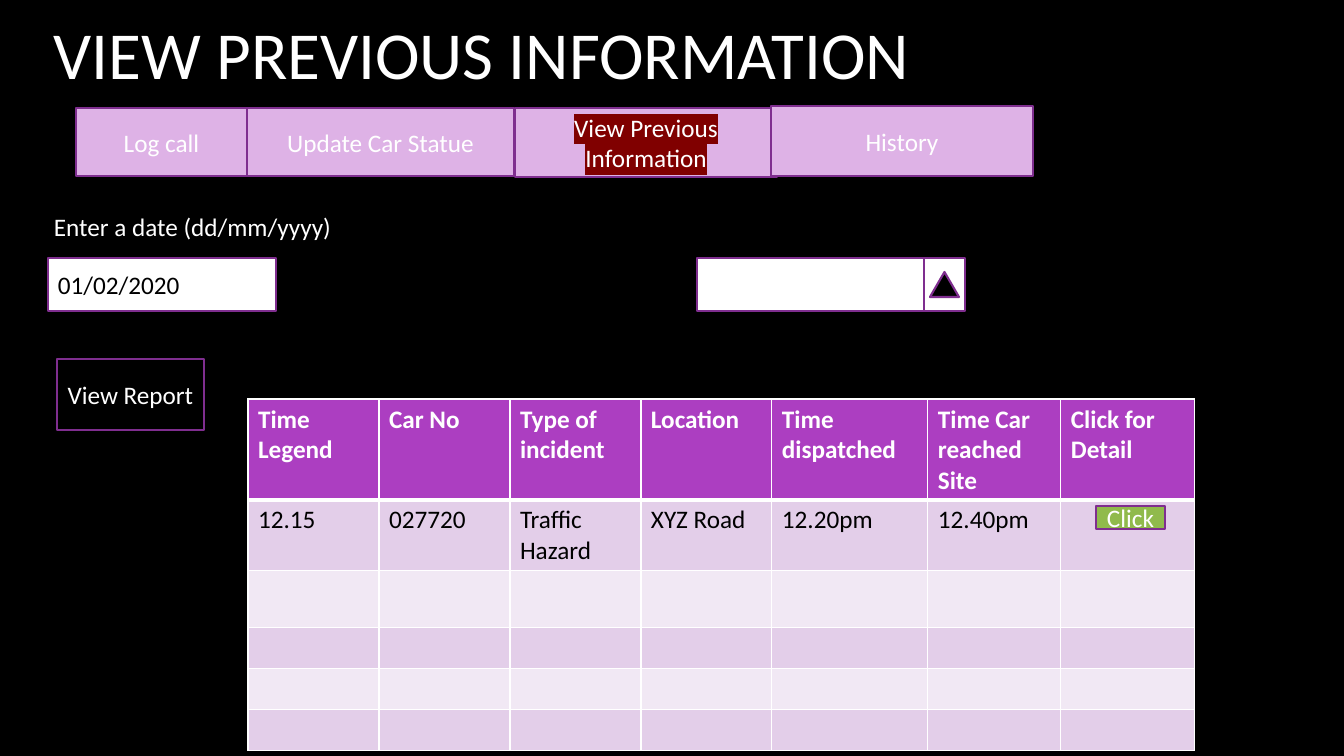
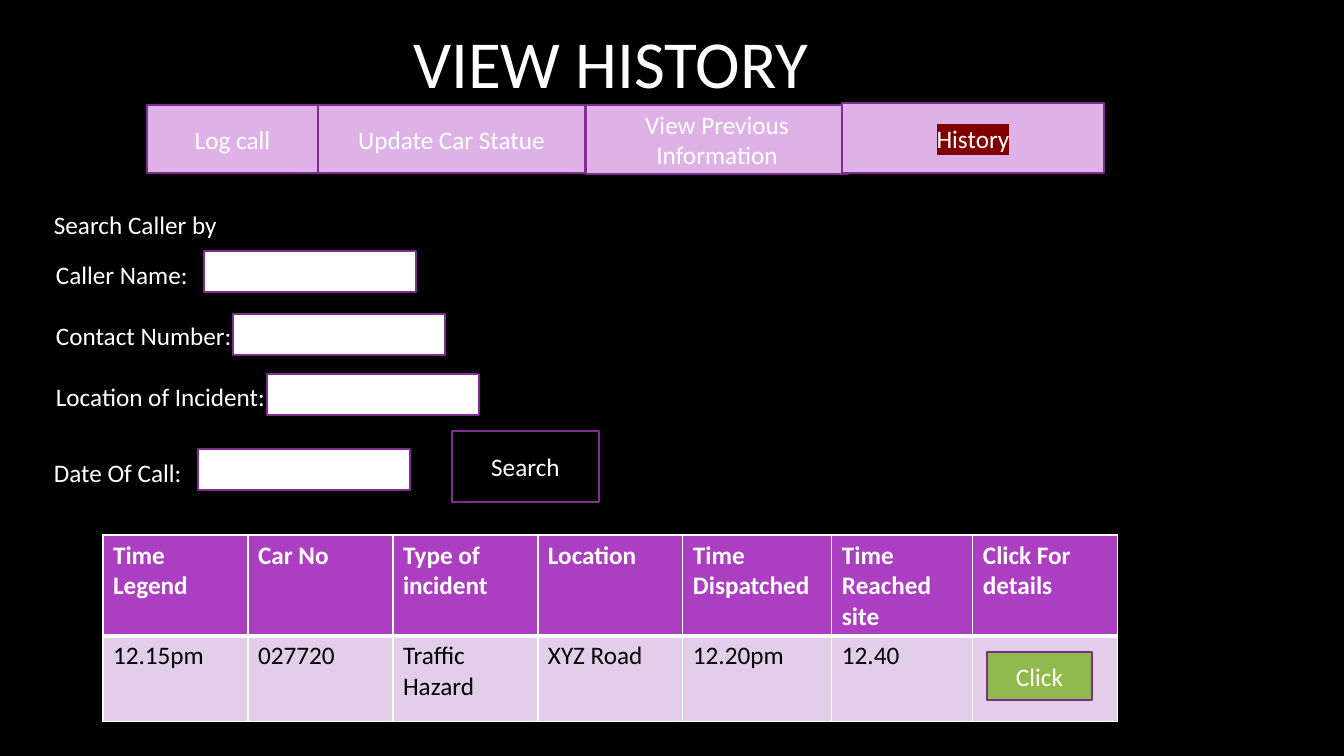
from lxml.etree import SubElement
from pptx import Presentation
from pptx.dml.color import RGBColor
from pptx.enum.shapes import MSO_SHAPE as SHAPE
from pptx.enum.text import MSO_ANCHOR as ANCHOR, PP_ALIGN as ALIGN
from pptx.oxml import parse_xml
from pptx.oxml.ns import nsdecls, qn
from pptx.util import Pt

PX = 9071  # EMU in one px, 100.8 px to the inch
rgb = RGBColor.from_string
BLACK, WHITE = "000000", "FFFFFF"
OUTLINE, TAB, ACTIVE = "7F2E8F", "DEB2E6", "800000"
HEADER, BANDS, GREEN = "AC3EC1", ("F1E8F4", "E3CEE9"), "90BA4C"


def write(frame, text, size=18, color=WHITE, bold=False, align=ALIGN.LEFT,
          anchor=ANCHOR.TOP, highlight=None, space_after=0):
    """Fill a text frame with one paragraph for each line of text."""
    frame.word_wrap = True
    frame.vertical_anchor = anchor
    for index, line in enumerate(text.split("\n")):
        paragraph = frame.add_paragraph() if index else frame.paragraphs[0]
        paragraph.alignment = align
        paragraph.space_after = Pt(space_after)
        run = paragraph.add_run()
        run.text = line
        run.font.size, run.font.bold, run.font.name = Pt(size), bold, "Calibri"
        run.font.color.rgb = rgb(color)
        if highlight:
            run.font._element.find(qn("a:solidFill")).addnext(parse_xml(
                f'<a:highlight {nsdecls("a")}><a:srgbClr val="{highlight}"/></a:highlight>'))


def add_box(shapes, left, top, width, height, text="", fill=WHITE,
            kind=SHAPE.RECTANGLE, align=ALIGN.CENTER, **text_format):
    """Add an outlined shape, with its text centred vertically."""
    shape = shapes.add_shape(kind, left * PX, top * PX, width * PX, height * PX)
    shape.shadow.inherit = False
    shape.fill.solid()
    shape.fill.fore_color.rgb = rgb(fill)
    shape.line.color.rgb = rgb(OUTLINE)
    shape.line.width = Pt(1.5)
    if text:
        write(shape.text_frame, text, align=align, anchor=ANCHOR.MIDDLE, **text_format)


presentation = Presentation()
presentation.slide_width, presentation.slide_height = 1344 * PX, 756 * PX
background = presentation.slide_master.background.fill
background.solid()
background.fore_color.rgb = rgb(BLACK)

# name, left and top within the tab bar, width, height
tabs = [
    ("Log call", 0, 0, 171, 68),
    ("Update Car Statue", 171, 0, 267, 68),
    ("View Previous Information", 439, 0, 262, 69),
    ("History", 695, -2, 262, 70),
]

pages = [
    dict(
        title="VIEW PREVIOUS INFORMATION", title_height=98, title_align=ALIGN.LEFT,
        active="View Previous Information", tab_bar=(76, 108),
        labels=[("Enter a date (dd/mm/yyyy)", 44, 206, 40)],
        fields=[],
        button=("View Report", 57, 359),
        table_at=(248, 399),
        columns=[131, 131, 131, 131, 156, 133, 134],
        rows=[100, 71, 57, 41, 41, 41],
        cells=[
            ["Time Legend", "Car No", "Type of incident", "Location",
             "Time dispatched", "Time Car reached Site", "Click for Detail"],
            ["12.15", "027720", "Traffic Hazard", "XYZ Road", "12.20pm", "12.40pm"],
        ],
        click=(1096, 506, 69, 23),
    ),
    dict(
        title="VIEW HISTORY", title_height=107, title_align=ALIGN.CENTER,
        active="History", tab_bar=(147, 105),
        labels=[
            ("Search Caller by", 44, 204, 40),
            ("Caller Name:\nContact Number:\nLocation of Incident:", 46, 254, 163),
            ("Date Of Call:", 44, 452, 40),
        ],
        fields=[(204, 251), (233, 314), (267, 374), (198, 449)],
        button=("Search", 452, 431),
        table_at=(103, 535),
        columns=[145, 145, 145, 145, 149, 141, 145],
        rows=[100, 86],
        cells=[
            ["Time Legend", "Car No", "Type of incident", "Location",
             "Time Dispatched", "Time Reached site", "Click For details"],
            ["12.15pm", "027720", "Traffic Hazard", "XYZ Road", "12.20pm", "12.40"],
        ],
        click=(987, 652, 105, 48),
    ),
]

slides = []
for page in pages:
    slide = presentation.slides.add_slide(presentation.slide_layouts[6])
    slides.append(slide)
    shapes = slide.shapes

    title = shapes.add_textbox(44 * PX, 0, 1134 * PX, page["title_height"] * PX)
    write(title.text_frame, page["title"], size=48,
          align=page["title_align"], anchor=ANCHOR.BOTTOM)

    bar_left, bar_top = page["tab_bar"]
    for name, left, top, width, height in tabs:
        add_box(shapes, bar_left + left, bar_top + top, width, height, name, TAB,
                highlight=ACTIVE if name == page["active"] else None)

    for text, left, top, height in page["labels"]:
        label = shapes.add_textbox(left * PX, top * PX, 321 * PX, height * PX)
        write(label.text_frame, text, space_after=22 if "\n" in text else 0)
    for left, top in page["fields"]:
        add_box(shapes, left, top, 212, 41)

    text, left, top = page["button"]
    add_box(shapes, left, top, 147, 71, text, BLACK, SHAPE.FLOWCHART_PROCESS)

    columns, rows = page["columns"], page["rows"]
    left, top = page["table_at"]
    table = shapes.add_table(len(rows), len(columns), left * PX, top * PX,
                             sum(columns) * PX, sum(rows) * PX).table
    for column, width in zip(table.columns, columns):
        column.width = width * PX
    for row_index, height in enumerate(rows):
        table.rows[row_index].height = height * PX
        is_header = row_index == 0
        for cell in table.rows[row_index].cells:
            properties = cell._tc.get_or_add_tcPr()
            for side in "LRTB":
                thick = (side == "B" and is_header) or (side == "T" and row_index == 1)
                border = SubElement(properties, qn(f"a:ln{side}"), w=str(Pt(3 if thick else 1)))
                border_fill = SubElement(border, qn("a:solidFill"))
                SubElement(border_fill, qn("a:srgbClr"), val=WHITE)
            cell.fill.solid()
            cell.fill.fore_color.rgb = rgb(HEADER if is_header else BANDS[row_index % 2])
    for row_index, texts in enumerate(page["cells"]):
        for column_index, text in enumerate(texts):
            write(table.cell(row_index, column_index).text_frame, text,
                  color=BLACK if row_index else WHITE, bold=row_index == 0)

    add_box(shapes, *page["click"], "Click", GREEN)

# Date field and drop-down list of the first slide
shapes = slides[0].shapes
add_box(shapes, 48, 258, 228, 53, "01/02/2020", align=ALIGN.LEFT, color=BLACK)
dropdown = shapes.add_group_shape().shapes
add_box(dropdown, 697, 258, 228, 53)
add_box(dropdown, 924, 258, 41, 53)
add_box(dropdown, 930, 272, 29, 25, fill=BLACK, kind=SHAPE.ISOSCELES_TRIANGLE)

presentation.save("out.pptx")
